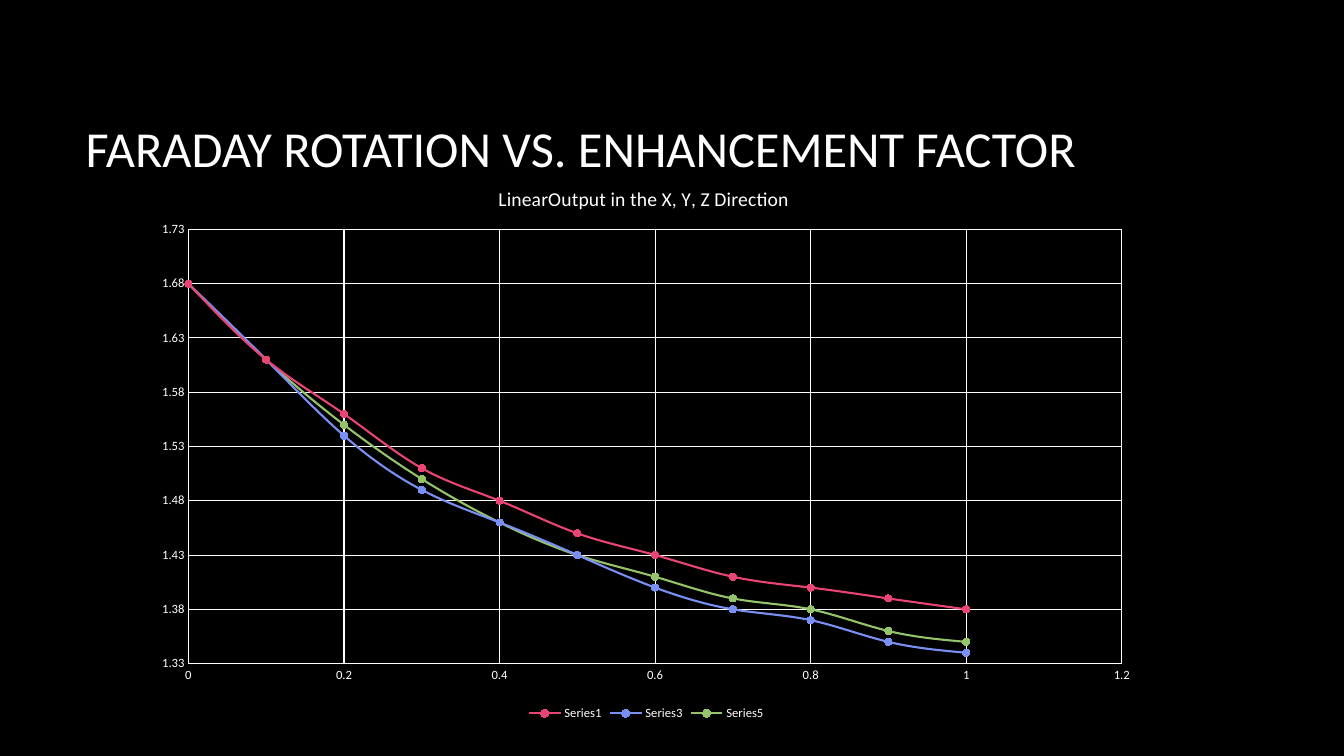
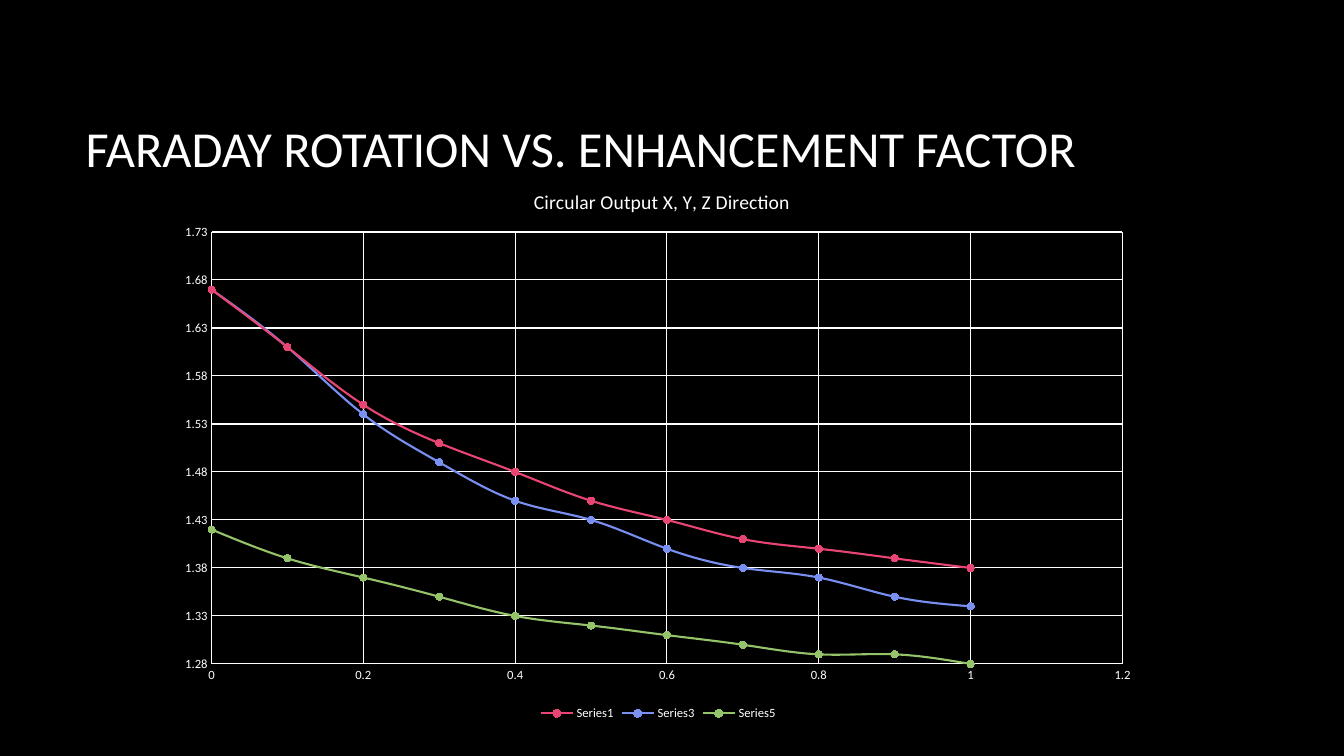
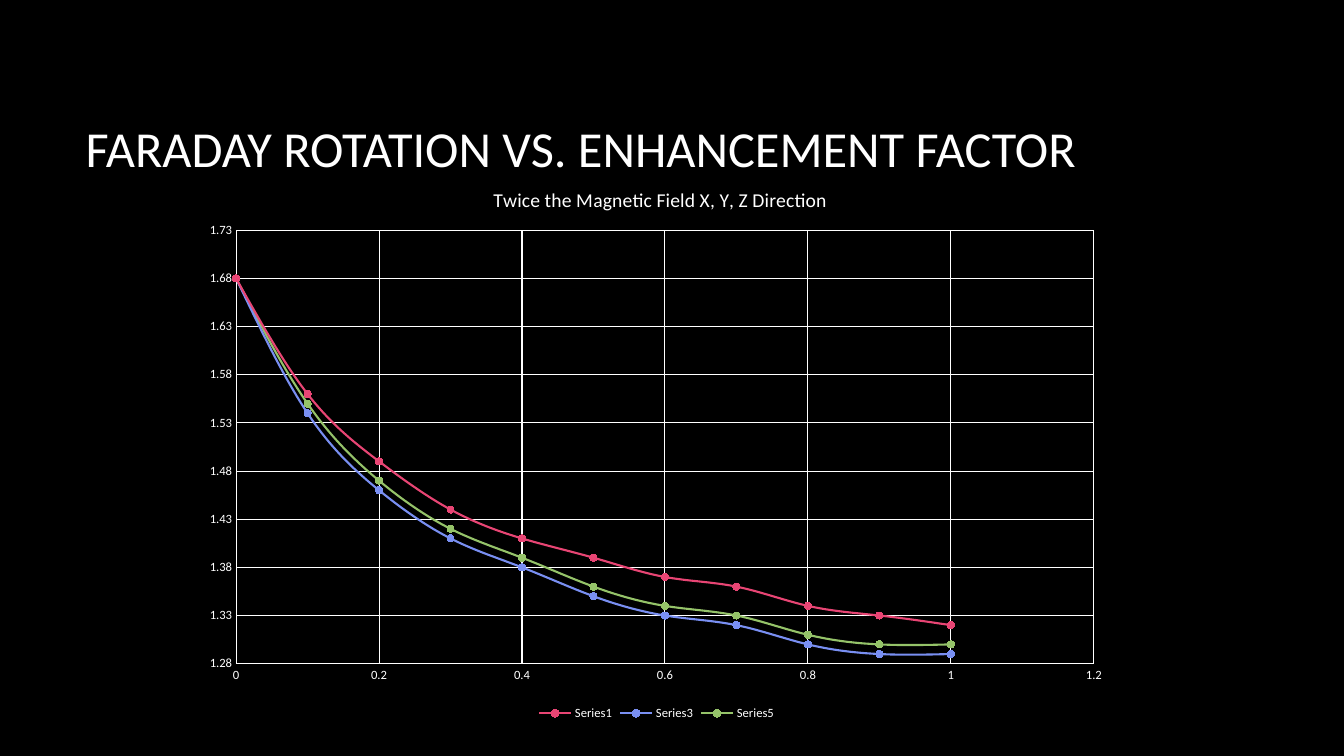
from lxml.etree import SubElement
from pptx import Presentation
from pptx.chart.data import XyChartData
from pptx.dml.color import RGBColor
from pptx.enum.chart import (XL_AXIS_CROSSES, XL_CHART_TYPE, XL_LEGEND_POSITION,
                             XL_MARKER_STYLE, XL_TICK_MARK)
from pptx.enum.text import MSO_ANCHOR, PP_ALIGN
from pptx.oxml.ns import qn
from pptx.oxml.xmlchemy import OxmlElement
from pptx.util import Pt

# Shared style
BLACK = RGBColor(0x00, 0x00, 0x00)
WHITE = RGBColor(0xFF, 0xFF, 0xFF)
PINK = RGBColor(0xE8, 0x45, 0x74)
BLUE = RGBColor(0x79, 0x8F, 0xF2)
GREEN = RGBColor(0x95, 0xC3, 0x69)
FONT = "Calibri"
TITLE = "FARADAY ROTATION VS. ENHANCEMENT FACTOR"
SERIES_STYLES = [("Series1", PINK), ("Series3", BLUE), ("Series5", GREEN)]
ENHANCEMENT_FACTORS = [step / 10 for step in range(11)]

# Chart content: box in points, title start as a share of the chart width
CHARTS = [
    {
        "title": "LinearOutput in the X, Y, Z Direction",
        "title_left": 0.35,
        "box": (101.5, 113.8, 720, 403.9),
        "minimum": 1.33,
        "rotations": [
            [1.68, 1.61, 1.56, 1.51, 1.48, 1.45, 1.43, 1.41, 1.4, 1.39, 1.38],
            [1.68, 1.61, 1.54, 1.49, 1.46, 1.43, 1.4, 1.38, 1.37, 1.35, 1.34],
            [1.68, 1.61, 1.55, 1.5, 1.46, 1.43, 1.41, 1.39, 1.38, 1.36, 1.35],
        ],
    },
    {
        "title": "Circular Output X, Y, Z Direction",
        "title_left": 0.37,
        "box": (118.8, 115.9, 702.7, 401.8),
        "minimum": 1.28,
        "rotations": [
            [1.67, 1.61, 1.55, 1.51, 1.48, 1.45, 1.43, 1.41, 1.4, 1.39, 1.38],
            [1.67, 1.61, 1.54, 1.49, 1.45, 1.43, 1.4, 1.38, 1.37, 1.35, 1.34],
            [1.42, 1.39, 1.37, 1.35, 1.33, 1.32, 1.31, 1.3, 1.29, 1.29, 1.28],
        ],
    },
    {
        "title": "Twice the Magnetic Field X, Y, Z Direction",
        "title_left": 0.32,
        "box": (138.2, 114.5, 661.7, 403.2),
        "minimum": 1.28,
        "rotations": [
            [1.68, 1.56, 1.49, 1.44, 1.41, 1.39, 1.37, 1.36, 1.34, 1.33, 1.32],
            [1.68, 1.54, 1.46, 1.41, 1.38, 1.35, 1.33, 1.32, 1.3, 1.29, 1.29],
            [1.68, 1.55, 1.47, 1.42, 1.39, 1.36, 1.34, 1.33, 1.31, 1.3, 1.3],
        ],
    },
]


def style_font(font, size):
    font.name = FONT
    font.size = Pt(size)
    font.bold = False
    font.color.rgb = WHITE


def style_line(line, color, width):
    line.color.rgb = color
    line.width = Pt(width)


def set_layout(parent, index, **settings):
    """Give a chart part a manual layout, in shares of the chart."""
    layout = parent.find(qn("c:layout"))
    if layout is None:
        layout = OxmlElement("c:layout")
        parent.insert(index, layout)
    manual = SubElement(layout, qn("c:manualLayout"))
    for name, value in settings.items():
        SubElement(manual, qn(f"c:{name}")).set("val", str(value))


def prepare_template(presentation):
    """Set the background and the title position for all slides."""
    background = presentation.slide_master.background.fill
    background.solid()
    background.fore_color.rgb = BLACK
    layout = presentation.slide_layouts.get_by_name("Title Only")
    title = layout.placeholders[0]
    title.left, title.top = Pt(54), Pt(48.2)
    title.width, title.height = Pt(797.8), Pt(114.5)
    return layout


def fill_title(slide):
    text_frame = slide.shapes.title.text_frame
    text_frame.text = TITLE
    text_frame.vertical_anchor = MSO_ANCHOR.MIDDLE
    paragraph = text_frame.paragraphs[0]
    paragraph.alignment = PP_ALIGN.LEFT
    style_font(paragraph.font, 36)


def style_axis(axis, minimum, maximum, unit):
    axis.minimum_scale = minimum
    axis.maximum_scale = maximum
    axis.major_unit = unit
    axis.major_tick_mark = axis.minor_tick_mark = XL_TICK_MARK.NONE
    axis.crosses = XL_AXIS_CROSSES.MINIMUM
    axis.has_major_gridlines = True
    style_line(axis.format.line, WHITE, 0.75)
    style_line(axis.major_gridlines.format.line, WHITE, 0.75)
    style_font(axis.tick_labels.font, 9)
    axis.tick_labels.number_format = "General"
    axis.tick_labels.number_format_is_linked = False


def style_series(series, color):
    style_line(series.format.line, color, 1.5)
    marker = series.marker
    marker.style = XL_MARKER_STYLE.CIRCLE
    marker.size = 5
    marker.format.fill.solid()
    marker.format.fill.fore_color.rgb = color
    style_line(marker.format.line, color, 0.75)
    series._element.find(qn("c:smooth")).set("val", "1")


def style_chart_title(chart, text, left):
    chart.has_title = True
    title = chart.chart_title
    title.text_frame.text = text
    style_font(title.text_frame.paragraphs[0].font, 14)
    set_layout(title._element, 1, xMode="edge", yMode="edge", x=left, y=0.04)


def add_rotation_chart(slide, content):
    chart_data = XyChartData()
    for (name, _), rotations in zip(SERIES_STYLES, content["rotations"]):
        series_data = chart_data.add_series(name)
        for factor, rotation in zip(ENHANCEMENT_FACTORS, rotations):
            series_data.add_data_point(factor, rotation)
    box = [Pt(length) for length in content["box"]]
    chart = slide.shapes.add_chart(
        XL_CHART_TYPE.XY_SCATTER_SMOOTH, *box, chart_data).chart
    style_font(chart.font, 10)
    style_chart_title(chart, content["title"], content["title_left"])

    # Plot, axes and series
    plot = chart.plots[0]
    plot.vary_by_categories = False
    set_layout(plot._element.getparent(), 0, layoutTarget="inner",
               xMode="edge", yMode="edge", x=0.046, y=0.124, w=0.926, h=0.768)
    style_axis(chart.category_axis, 0, 1.2, 0.2)
    style_axis(chart.value_axis, content["minimum"], 1.73, 0.05)
    for series, (_, color) in zip(plot.series, SERIES_STYLES):
        style_series(series, color)

    # Legend
    chart.has_legend = True
    chart.legend.position = XL_LEGEND_POSITION.BOTTOM
    chart.legend.include_in_layout = False
    style_font(chart.legend.font, 9)


def main():
    presentation = Presentation()
    presentation.slide_width, presentation.slide_height = Pt(960), Pt(540)
    layout = prepare_template(presentation)
    for content in CHARTS:
        slide = presentation.slides.add_slide(layout)
        fill_title(slide)
        add_rotation_chart(slide, content)
    presentation.save("out.pptx")


if __name__ == "__main__":
    main()
